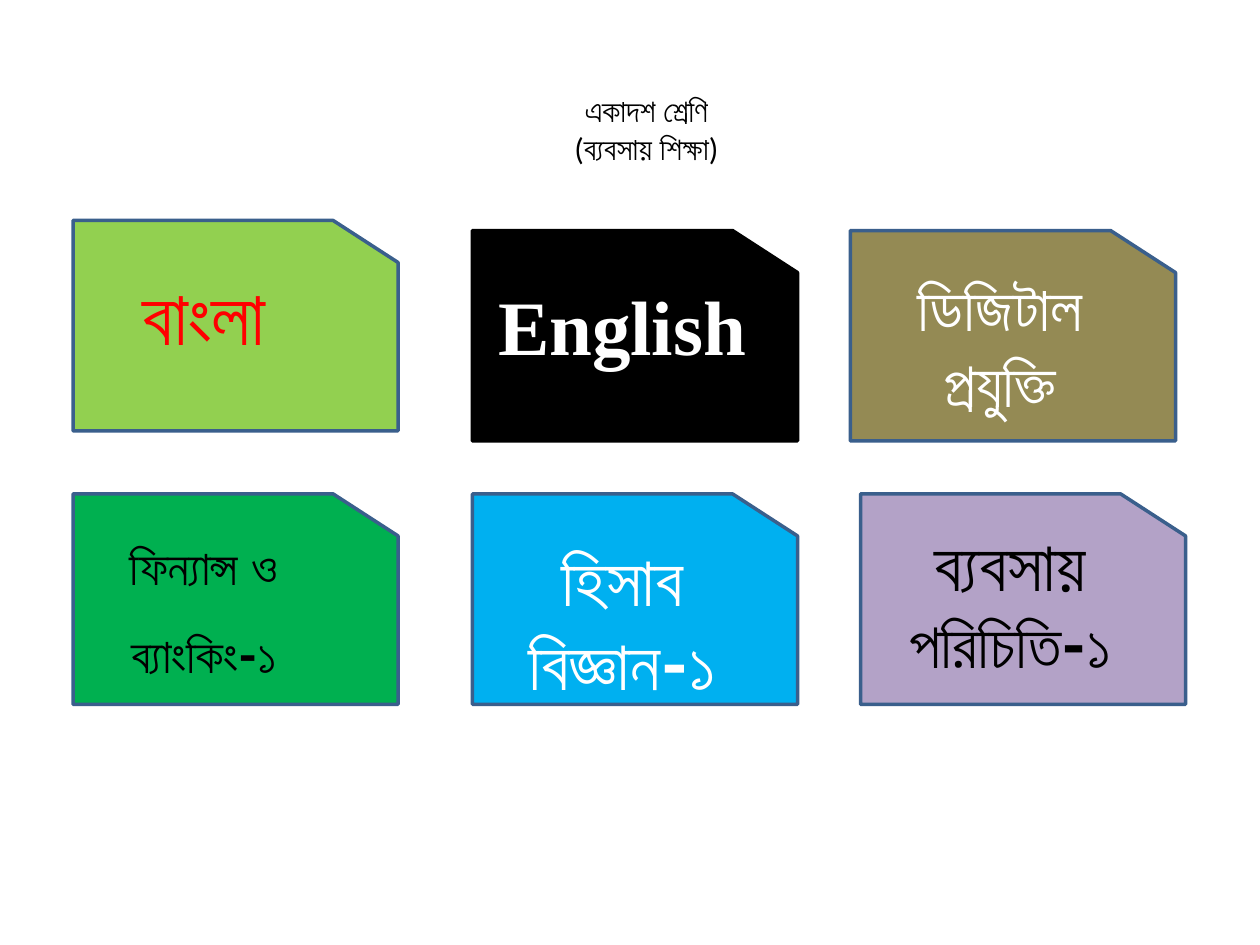
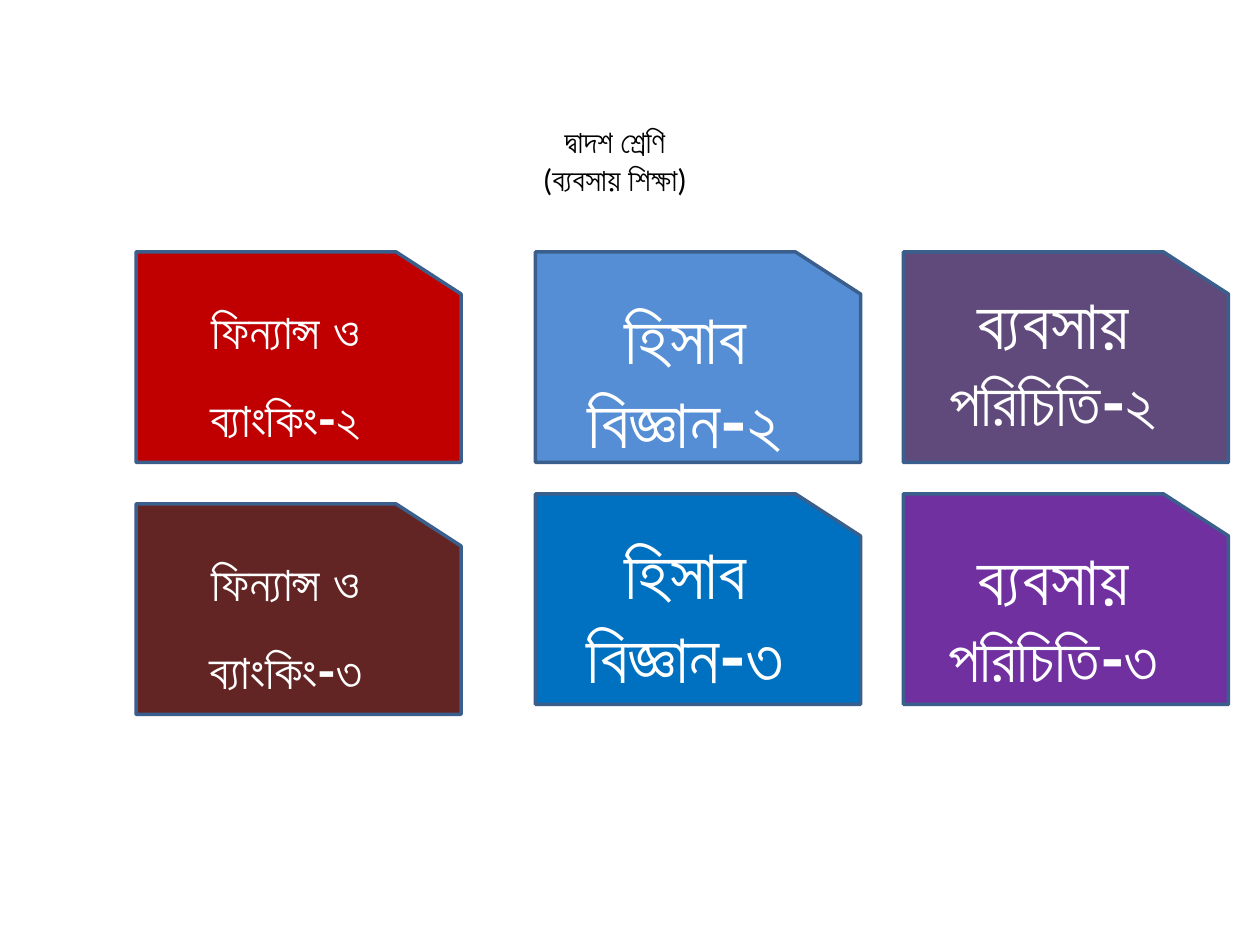
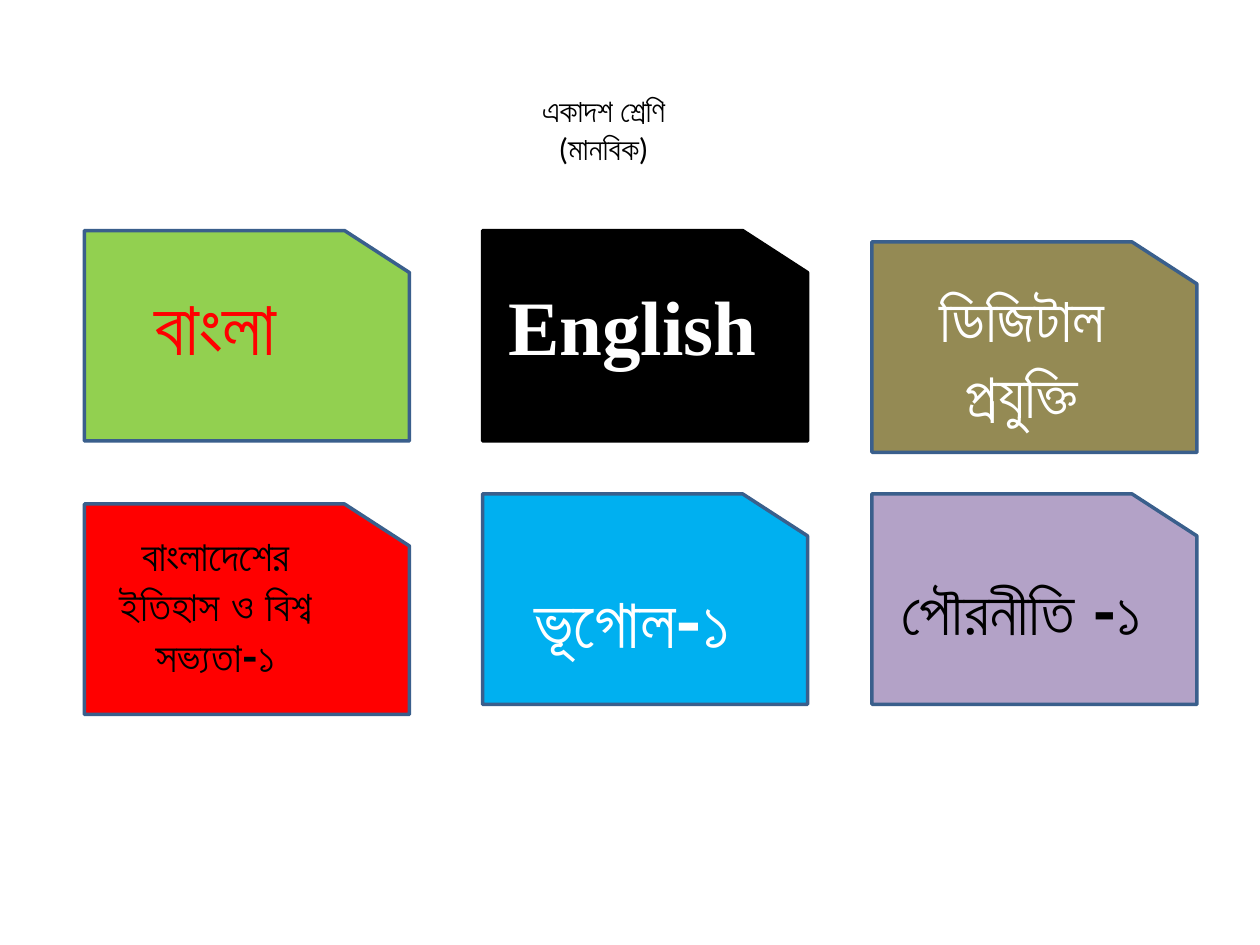
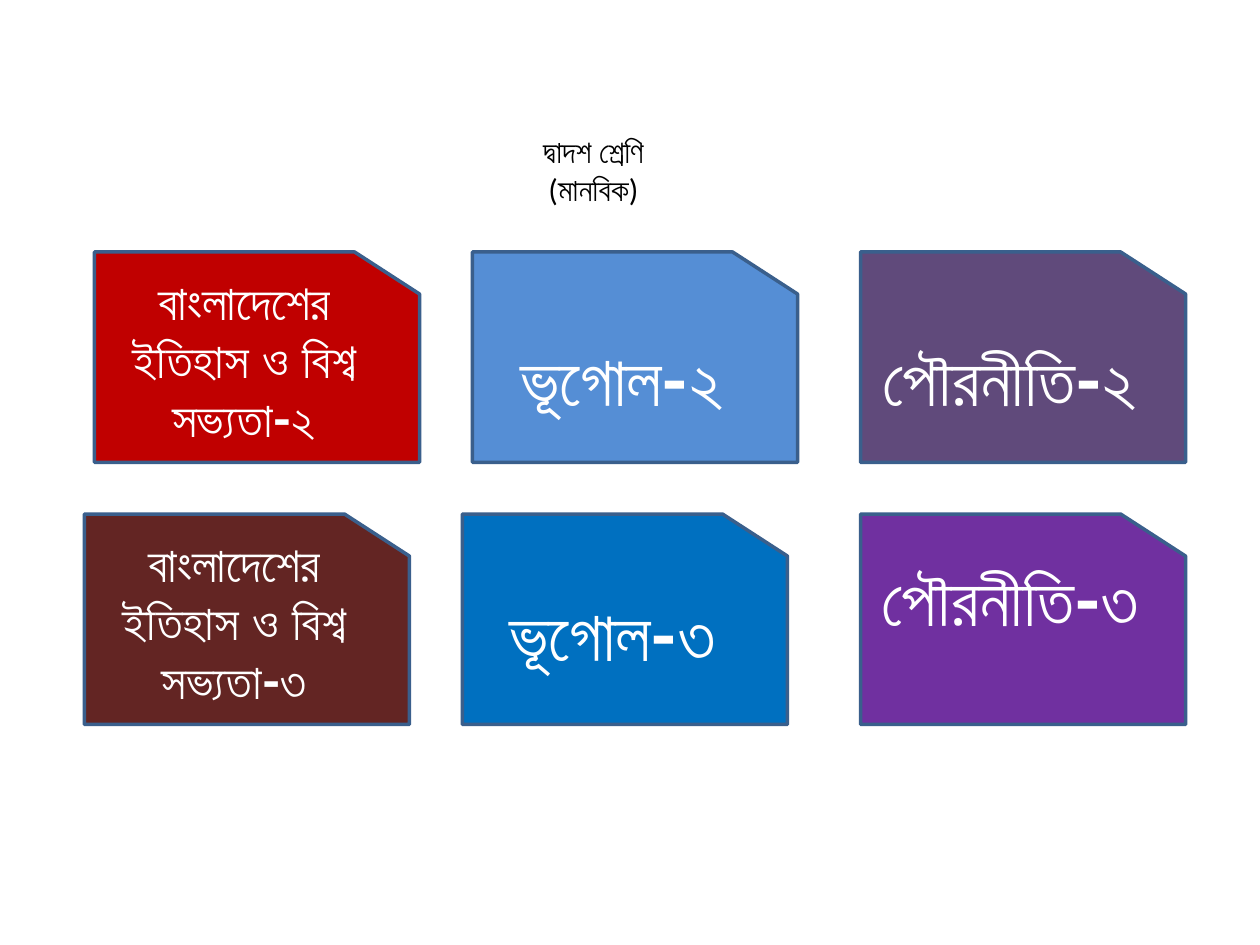
"""Builds four slides of subject cards for two classes and two study groups."""
from pptx import Presentation
from pptx.dml.color import RGBColor
from pptx.enum.shapes import MSO_SHAPE
from pptx.enum.text import MSO_ANCHOR, MSO_AUTO_SIZE, PP_ALIGN
from pptx.util import Inches, Pt

CARD = MSO_SHAPE.FLOWCHART_CARD
TOP, MIDDLE = MSO_ANCHOR.TOP, MSO_ANCHOR.MIDDLE
CENTER = PP_ALIGN.CENTER
NO_FIT = MSO_AUTO_SIZE.NONE
TITLE_ONLY = 5

WHITE, BLACK, RED = "FFFFFF", "000000", "FF0000"
SIDES = ("margin_left", "margin_top", "margin_right", "margin_bottom")
BANGLA = dict(sizes=(44,), color=RED, anchor=TOP, insets=(0.1, 0.05, 0.6, 0.05))
ENGLISH = dict(sizes=(44,), font="Times New Roman", line=BLACK, anchor=TOP,
               insets=(0.1, 0.05, 0.3, 0.05))
DIGITAL = dict(sizes=(36,), insets=(0.1, 0.1, 0.3, 0.3))
FINANCE = dict(sizes=(28,), spacing=1.5)
HISTORY = dict(sizes=(28,))
BUSINESS = dict(sizes=(40, 36))
EVEN = dict(insets=(0.1, 0.2, 0.3, 0.2))
RAISED = dict(insets=(0.1, 0.1, 0.3, 0.2))
NARROW = dict(color=BLACK, insets=(0.1, 0, 0.6, 0.4))

ELEVENTH, TWELFTH = "একাদশ শ্রেণি", "দ্বাদশ শ্রেণি"
COMMERCE, HUMANITIES = "(ব্যবসায় শিক্ষা)", "(মানবিক)"
FINANCE_NAME = "ফিন্যান্স ও ব্যাংকিং-"
ACCOUNTING_NAME = "হিসাব বিজ্ঞান-"
BUSINESS_NAME = ("ব্যবসায় ", "পরিচিতি-")
HISTORY_NAME = "বাংলাদেশের ইতিহাস ও বিশ্ব সভ্যতা-"
GEOGRAPHY_NAME = "ভূগোল-"
CIVICS_NAME = "পৌরনীতি-"


def rgb(code):
    """Turn a hex string into a colour."""
    return RGBColor.from_string(code)


def assign(target, values):
    """Set every attribute named in a dict of format values."""
    for name, value in values.items():
        setattr(target, name, value)


class Deck:
    """Holds the card style and the current slide."""

    width, height = 2.58, 1.67
    style = dict(font="Roboto", sizes=(40,), color=WHITE, line="3A5F8C",
                 anchor=MIDDLE, insets=(0.1, 0, 0.3, 0.3), spacing=1.0)

    def __init__(self):
        """Start an empty presentation."""
        self.presentation = Presentation()
        assign(self.presentation, dict(slide_width=Inches(10), slide_height=Inches(7.5)))
        self.page = None

    def start(self, left, top, lines):
        """Add a slide with a small centred title."""
        layout = self.presentation.slide_layouts[TITLE_ONLY]
        self.page = self.presentation.slides.add_slide(layout)
        title = self.page.shapes.title
        assign(title, dict(left=Inches(left), top=Inches(top),
                           width=Inches(5.92), height=Inches(0.71)))
        frame = title.text_frame
        frame.text = "\n".join(lines)
        assign(frame, dict(word_wrap=True, auto_size=NO_FIT, vertical_anchor=TOP))
        for para in frame.paragraphs:
            para.alignment = CENTER
            self.format(para.runs[0], "Calibri", 18, BLACK, False)

    def format(self, span, font, size, color, bold):
        """Give a run its font, size, colour and weight."""
        assign(span.font, dict(name=font, size=Pt(size), bold=bold))
        span.font.color.rgb = rgb(color)

    def card(self, left, top, fill, *words, **changes):
        """Draw a card cut at its top right corner, with a subject name."""
        look = {**self.style, **changes}
        box = self.page.shapes.add_shape(CARD, Inches(left), Inches(top),
                                         Inches(self.width), Inches(self.height))
        box.element.spPr.xfrm.set("flipH", "1")
        box.shadow.inherit = False
        box.fill.solid()
        box.fill.fore_color.rgb = rgb(fill)
        box.line.color.rgb = rgb(look["line"])
        box.line.width = Pt(2)
        frame = box.text_frame
        assign(frame, dict(word_wrap=True, vertical_anchor=look["anchor"]))
        assign(frame, dict(zip(SIDES, map(Inches, look["insets"]))))
        para = frame.paragraphs[0]
        assign(para, dict(alignment=CENTER, line_spacing=look["spacing"]))
        for word, size in zip(words, look["sizes"]):
            span = para.add_run()
            span.text = word
            self.format(span, look["font"], size, look["color"], True)

    def common_cards(self, columns, tops):
        """Draw the three subjects that both groups take in the first year."""
        self.card(columns[0], tops[0], "92D050", "বাংলা", **BANGLA)
        self.card(columns[1], tops[1], BLACK, "English", **ENGLISH)
        self.card(columns[2], tops[2], "948A54", "ডিজিটাল প্রযুক্তি", **DIGITAL)


deck = Deck()

deck.start(2.17, 0.67, (ELEVENTH, COMMERCE))
deck.common_cards((0.58, 3.75, 6.75), (1.75, 1.83, 1.83))
deck.card(3.75, 3.92, "00B0F0", ACCOUNTING_NAME + "১", **EVEN)
deck.card(0.58, 3.92, "00B050", FINANCE_NAME + "১", **FINANCE, **NARROW)
deck.card(6.83, 3.92, "B3A2C7", BUSINESS_NAME[0], BUSINESS_NAME[1] + "১",
          **BUSINESS, color=BLACK)

deck.start(1.92, 0.92, (TWELFTH, COMMERCE))
for digit, top, fill in (("২", 2, "C00000"), ("৩", 4, "632523")):
    deck.card(1.08, top, fill, FINANCE_NAME + digit, **FINANCE)
for digit, top, fill, look in (("২", 2, "558ED5", EVEN), ("৩", 3.92, "0070C0", RAISED)):
    deck.card(4.25, top, fill, ACCOUNTING_NAME + digit, **look)
for digit, top, fill, anchor in (("২", 2, "604A7B", MIDDLE), ("৩", 3.92, "7030A0", TOP)):
    deck.card(7.17, top, fill, BUSINESS_NAME[0], BUSINESS_NAME[1] + digit,
              **BUSINESS, anchor=anchor)

deck.start(1.83, 0.67, (ELEVENTH, HUMANITIES))
deck.common_cards((0.67, 3.83, 6.92), (1.83, 1.83, 1.92))
deck.card(3.83, 3.92, "00B0F0", GEOGRAPHY_NAME + "১", **EVEN)
deck.card(0.67, 4, RED, HISTORY_NAME + "১", sizes=(24,), **NARROW)
deck.card(6.92, 3.92, "B3A2C7", "পৌরনীতি -১", sizes=(36,), color=BLACK,
          insets=(0.1, 0.1, 0.3, 0.25))

deck.start(1.75, 1, (TWELFTH, HUMANITIES))
for digit, left, top, fill in (("২", 0.75, 2, "C00000"), ("৩", 0.67, 4.08, "632523")):
    deck.card(left, top, fill, HISTORY_NAME + digit, **HISTORY)
deck.card(3.75, 2, "558ED5", GEOGRAPHY_NAME + "২", **EVEN)
deck.card(3.67, 4.08, "0070C0", GEOGRAPHY_NAME + "৩", **RAISED)
deck.card(6.83, 2, "604A7B", CIVICS_NAME + "২", insets=(0.1, 0, 0.3, 0))
deck.card(6.83, 4.08, "7030A0", CIVICS_NAME + "৩", anchor=TOP, insets=(0.1, 0, 0.3, 0.1))

deck.presentation.save("out.pptx")
